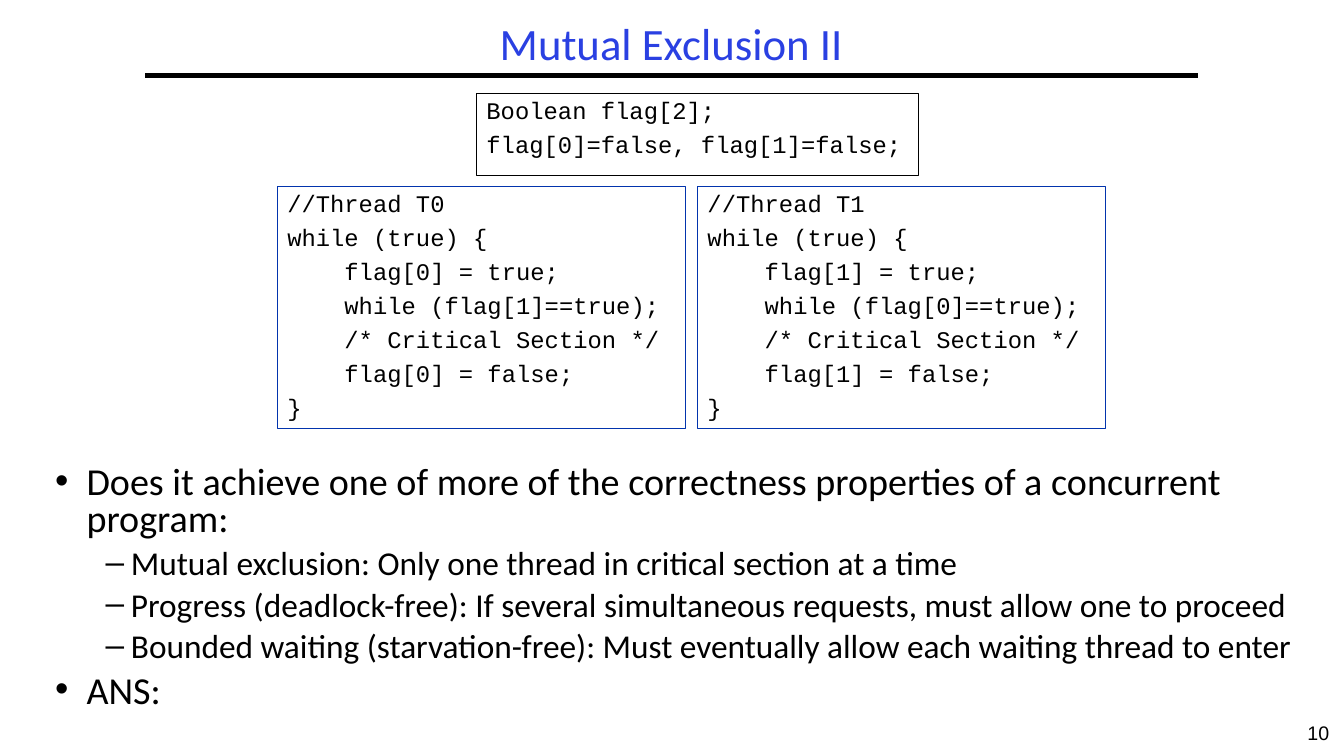
"""Build the Mutual Exclusion II slide."""
import dataclasses
import typing

import lxml.etree
import pptx
import pptx.dml.color
import pptx.enum.shapes
import pptx.enum.text
import pptx.oxml.ns
import pptx.util

Cm = pptx.util.Cm
Pt = pptx.util.Pt
Align = pptx.enum.text.PP_ALIGN
Anchor = pptx.enum.text.MSO_ANCHOR


@dataclasses.dataclass(frozen=True)
class Font:
    name: str
    size: float
    color: str


@dataclasses.dataclass(frozen=True)
class Theme:
    black: str = "000000"
    edge: str = "0234AD"
    rule: float = 3
    thin: float = 0.75
    title: Font = Font("Calibri", 32, "2A40E2")
    point: Font = Font("Calibri", 27.2, "000000")
    detail: Font = Font("Calibri", 23.8, "000000")
    code: Font = Font("Courier New", 17, "000000")
    page: Font = Font("Arial", 14, "000000")


@dataclasses.dataclass(frozen=True)
class Place:
    left: float
    top: float
    width: float
    height: float


@dataclasses.dataclass(frozen=True)
class Level:
    font: Font
    mark: str
    margin: float
    hang: float


@dataclasses.dataclass(frozen=True)
class Code:
    place: Place
    edge: str
    lines: list[str]


THEME = Theme()
LEVELS = [
    Level(THEME.point, "•", 0.79, 0.79),
    Level(THEME.detail, "–", 1.91, 0.64),
]
POINTS = [
    (0, "Does it achieve one of more of the correctness properties of a concurrent program:"),
    (1, "Mutual exclusion: Only one thread in critical section at a time"),
    (1, "Progress (deadlock-free): If several simultaneous requests, must allow one to proceed"),
    (1, "Bounded waiting (starvation-free): Must eventually allow each waiting thread to enter"),
    (0, "ANS:"),
]


def thread(own: int) -> list[str]:
    return [
        f"//Thread T{own}",
        "while (true) {",
        f"    flag[{own}] = true;",
        f"    while (flag[{1 - own}]==true);",
        "    /* Critical Section */",
        f"    flag[{own}] = false;",
        "}",
    ]


CODES = [
    Code(Place(6.99 + 10.59 * own, 4.7, 10.29, 6.1), THEME.edge, thread(own))
    for own in range(2)
] + [
    Code(Place(12.01, 2.36, 11.13, 2.06), THEME.black,
         ["Boolean flag[2];", "flag[0]=false, flag[1]=false;"]),
]


def paint(text: str) -> pptx.dml.color.RGBColor:
    return pptx.dml.color.RGBColor.from_string(text)


def spans(place: Place) -> list[int]:
    return [Cm(side) for side in dataclasses.astuple(place)]


def move(shape: typing.Any, place: Place) -> None:
    shape.left, shape.top, shape.width, shape.height = spans(place)


def frame(shape: typing.Any, anchor: Anchor = Anchor.TOP) -> typing.Any:
    text = shape.text_frame
    text.word_wrap = True
    text.auto_size = pptx.enum.text.MSO_AUTO_SIZE.NONE
    text.vertical_anchor = anchor
    text.margin_left = text.margin_right = Cm(0.25)
    text.margin_top = text.margin_bottom = Cm(0.13)
    return text


def write(text: typing.Any, words: str, font: Font, first: bool = True,
          align: Align = Align.LEFT, lines: float = 0.9, gap: float = 0) -> typing.Any:
    para = text.paragraphs[0] if first else text.add_paragraph()
    para.alignment = align
    para.line_spacing = lines
    para.space_before = Pt(0 if first else gap)
    run = para.add_run()
    run.text = words
    run.font.name = font.name
    run.font.size = Pt(font.size)
    run.font.color.rgb = paint(font.color)
    return para


def mark(para: typing.Any, level: Level) -> None:
    props = para._p.get_or_add_pPr()
    props.set("marL", str(Cm(level.margin)))
    props.set("indent", str(-Cm(level.hang)))
    qn = pptx.oxml.ns.qn
    lxml.etree.SubElement(props, qn("a:buFont")).set("typeface", "Arial")
    lxml.etree.SubElement(props, qn("a:buChar")).set("char", level.mark)


def draw_rule(slide: typing.Any) -> None:
    line = slide.shapes.add_connector(
        pptx.enum.shapes.MSO_CONNECTOR.STRAIGHT, Cm(3.66), Cm(1.9), Cm(30.2), Cm(1.9))
    line.line.color.rgb = paint(THEME.black)
    line.line.width = Pt(THEME.rule)
    lxml.etree.SubElement(line._element.spPr, pptx.oxml.ns.qn("a:effectLst"))


def draw_list(body: typing.Any) -> None:
    move(body, Place(1.14, 11.63, 32.87, 7.01))
    text = frame(body)
    for turn, (depth, words) in enumerate(POINTS):
        level = LEVELS[depth]
        para = write(text, words, level.font, turn == 0, lines=0.8, gap=7)
        para.level = depth
        mark(para, level)


def draw_code(slide: typing.Any, code: Code) -> None:
    box = slide.shapes.add_shape(
        pptx.enum.shapes.MSO_SHAPE.RECTANGLE, *spans(code.place))
    box.shadow.inherit = False
    box.fill.background()
    box.line.color.rgb = paint(code.edge)
    box.line.width = Pt(THEME.thin)
    text = frame(box)
    for turn, words in enumerate(code.lines):
        write(text, words, THEME.code, turn == 0, gap=6)


def main() -> None:
    deck = pptx.Presentation()
    deck.slide_width, deck.slide_height = Cm(33.87), Cm(19.05)
    slide = deck.slides.add_slide(deck.slide_layouts[1])
    draw_rule(slide)
    page = slide.shapes.add_textbox(*spans(Place(32.59, 18.03, 1.27, 1.02)))
    write(frame(page), "10", THEME.page, align=Align.CENTER, lines=1.0)
    title = slide.shapes.title
    move(title, Place(3.66, 0.43, 26.52, 1.47))
    write(frame(title, Anchor.MIDDLE), "Mutual Exclusion II", THEME.title,
          align=Align.CENTER)
    draw_list(slide.placeholders[1])
    for code in CODES:
        draw_code(slide, code)
    deck.save("out.pptx")


if __name__ == "__main__":
    main()
